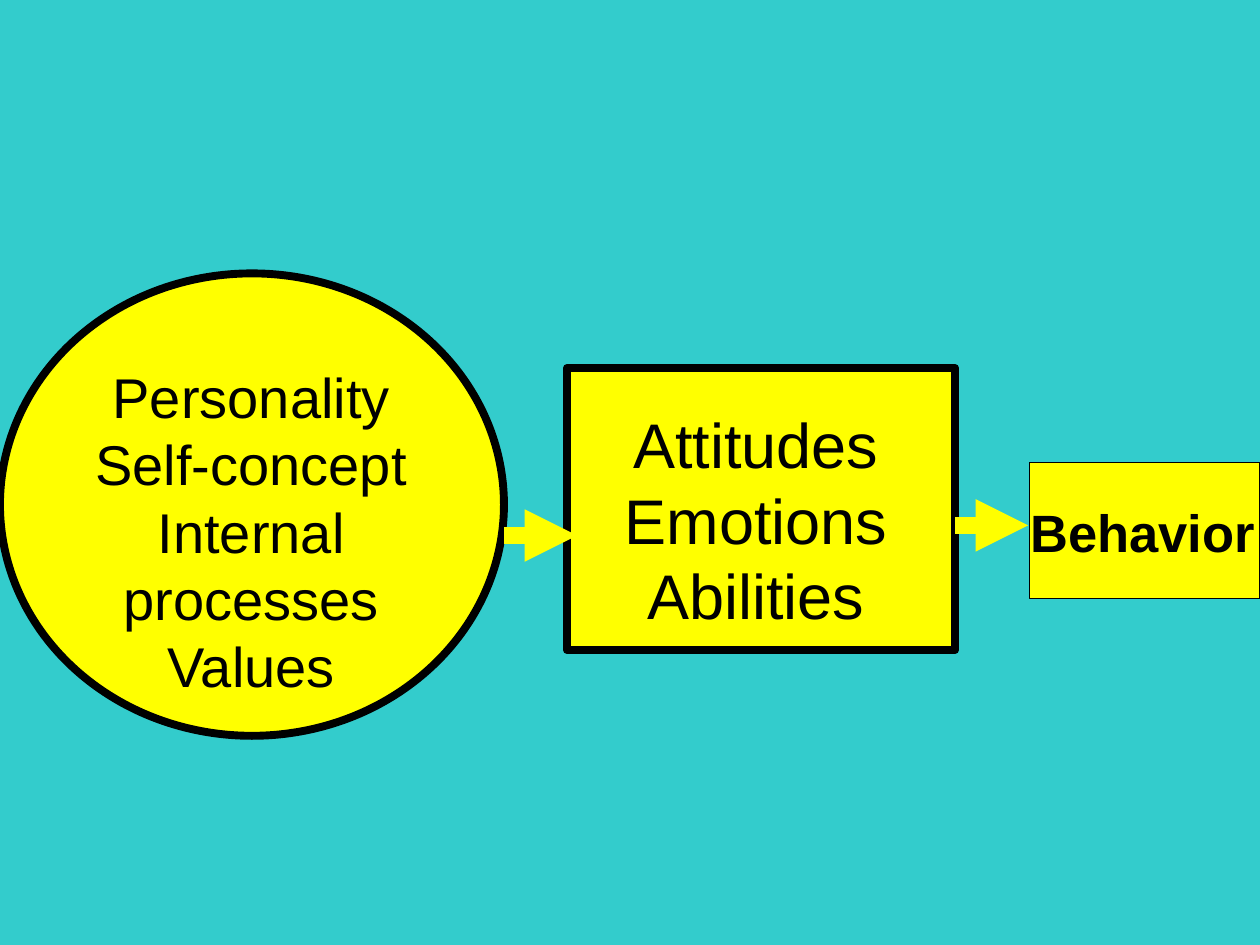
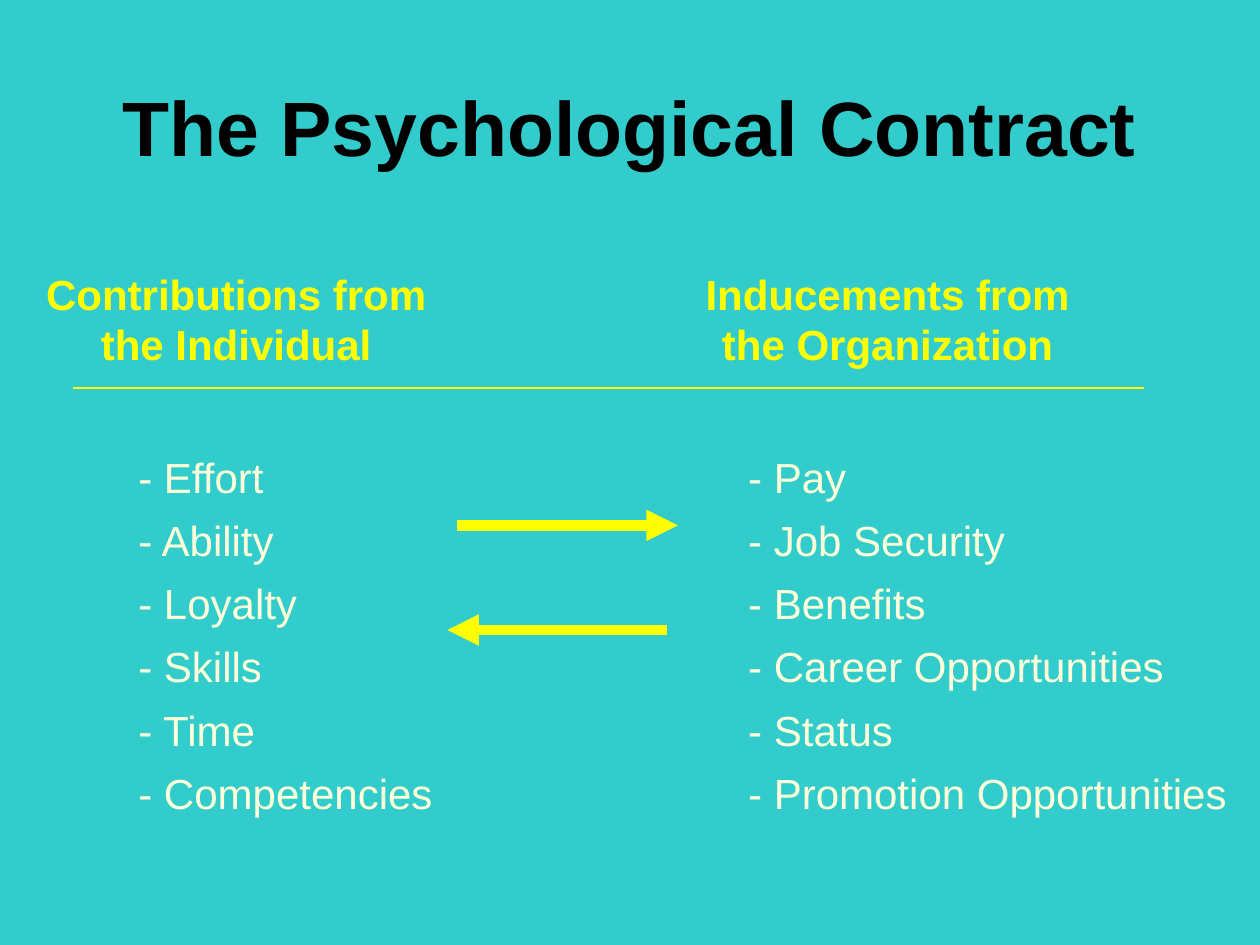
from lxml.etree import SubElement
from pptx import Presentation
from pptx.dml.color import RGBColor
from pptx.enum.shapes import MSO_CONNECTOR, MSO_SHAPE
from pptx.enum.text import MSO_ANCHOR, PP_ALIGN
from pptx.oxml.ns import qn
from pptx.util import Inches, Pt

TEAL = RGBColor(0x33, 0xCC, 0xCC)
YELLOW = RGBColor(0xFF, 0xFF, 0x00)
BLACK = RGBColor(0x00, 0x00, 0x00)
CREAM = RGBColor(0xFF, 0xFF, 0xD9)
FONT = "Arial"
INSETS = {
    "margin_left": Inches(0.1), "margin_right": Inches(0.1),
    "margin_top": Inches(0.05), "margin_bottom": Inches(0.05),
}
TITLE = {"size": Pt(44), "bold": True}
HEAD = {"size": Pt(24), "bold": True}
ITEM = {"size": Pt(24), "bold": False}


def apply(target, values):
    for name, value in values.items():
        setattr(target, name, value)


def write(frame, lines, font, color, align=PP_ALIGN.CENTER, gap=0, pitch=None, **options):
    apply(frame, {**INSETS, "word_wrap": True, **options})
    for row, line in enumerate(lines):
        para = frame.paragraphs[0] if row == 0 else frame.add_paragraph()
        apply(para, {"alignment": align, "line_spacing": pitch,
                     "space_before": Pt(gap if row else 0)})
        run = para.add_run()
        run.text = line
        apply(run.font, {"name": FONT, **font})
        run.font.color.rgb = color


def add_text(slide, box, lines, font, color, **options):
    label = slide.shapes.add_textbox(*map(Inches, box))
    write(label.text_frame, lines, font, color, **options)


def add_line(slide, left, top, width, weight, end=None):
    line = slide.shapes.add_connector(
        MSO_CONNECTOR.STRAIGHT, Inches(left), Inches(top), Inches(left + width), Inches(top))
    line.line.color.rgb = YELLOW
    line.line.width = Pt(weight)
    if end:
        SubElement(line.line._get_or_add_ln(), qn("a:" + end), type="triangle")
    SubElement(line._element.spPr, qn("a:effectLst"))


def add_stage(slide, box, kind, border, inner, lines, font, **options):
    shape = slide.shapes.add_shape(kind, *map(Inches, box))
    shape.shadow.inherit = False
    shape.fill.solid()
    shape.fill.fore_color.rgb = YELLOW
    shape.line.color.rgb = BLACK
    shape.line.width = Pt(border)
    left, top, width, height = inner
    place = (box[0] + left, box[1] + top, width, height)
    add_text(slide, place, lines, font, BLACK, **options)


def add_column(slide, left, head, shift, items):
    add_text(slide, (left, 2.08, 3.43, 0.9), [head], HEAD, YELLOW)
    add_text(slide, (left + shift, 3.64, 5.16, 2.79), items, ITEM, CREAM,
             align=PP_ALIGN.LEFT, gap=16, pitch=0.7, word_wrap=False)


def build_flow(deck):
    slide = deck.slides.add_slide(deck.slide_layouts[6])
    add_stage(slide, (8.17, 3.67, 1.83, 1.08), MSO_SHAPE.RECTANGLE, 1,
              (-0.09, 0.25, 2, 0.6), ["Behavior"],
              {"size": Pt(30), "bold": True}, align=PP_ALIGN.LEFT)
    add_stage(slide, (4.5, 2.92, 3.08, 2.24), MSO_SHAPE.RECTANGLE, 4.5,
              (0, 0.25, 3, 1.9), ["Attitudes", "Emotions", "Abilities"],
              {"size": Pt(36)})
    add_stage(slide, (0, 2.17, 4, 3.67), MSO_SHAPE.OVAL, 4.5,
              (0.08, 0.66, 3.83, 2.23),
              ["Personality", "Self-concept", "Internal processes", "Values"],
              {"size": Pt(32)}, word_wrap=False)
    for left, top in ((4, 4.25), (7.58, 4.17)):
        add_line(slide, left, top, 0.58, 10, "tailEnd")


def build_contract(deck):
    slide = deck.slides.add_slide(deck.slide_layouts[5])
    title = slide.shapes.title
    apply(title, {"left": Inches(0.75), "top": Inches(0.33),
                  "width": Inches(8.5), "height": Inches(1.33)})
    write(title.text_frame, ["The Psychological Contract"], TITLE, BLACK,
          vertical_anchor=MSO_ANCHOR.MIDDLE)
    add_column(slide, 0.16, "Contributions from the Individual", 0.84,
               ["- Effort", "- Ability", "- Loyalty", "- Skills", "- Time",
                "- Competencies"])
    add_column(slide, 5.33, "Inducements from the Organization", 0.51,
               ["- Pay", "- Job Security", "- Benefits", "- Career Opportunities",
                "- Status", "- Promotion Opportunities"])
    add_line(slide, 3.63, 4.17, 1.75, 6, "tailEnd")
    add_line(slide, 3.55, 5, 1.74, 6, "headEnd")
    add_line(slide, 0.58, 3.08, 8.5, 1)


def main():
    deck = Presentation()
    apply(deck, {"slide_width": Inches(10), "slide_height": Inches(7.5)})
    fill = deck.slide_master.background.fill
    fill.solid()
    fill.fore_color.rgb = TEAL
    build_flow(deck)
    build_contract(deck)
    deck.save("out.pptx")


if __name__ == "__main__":
    main()
